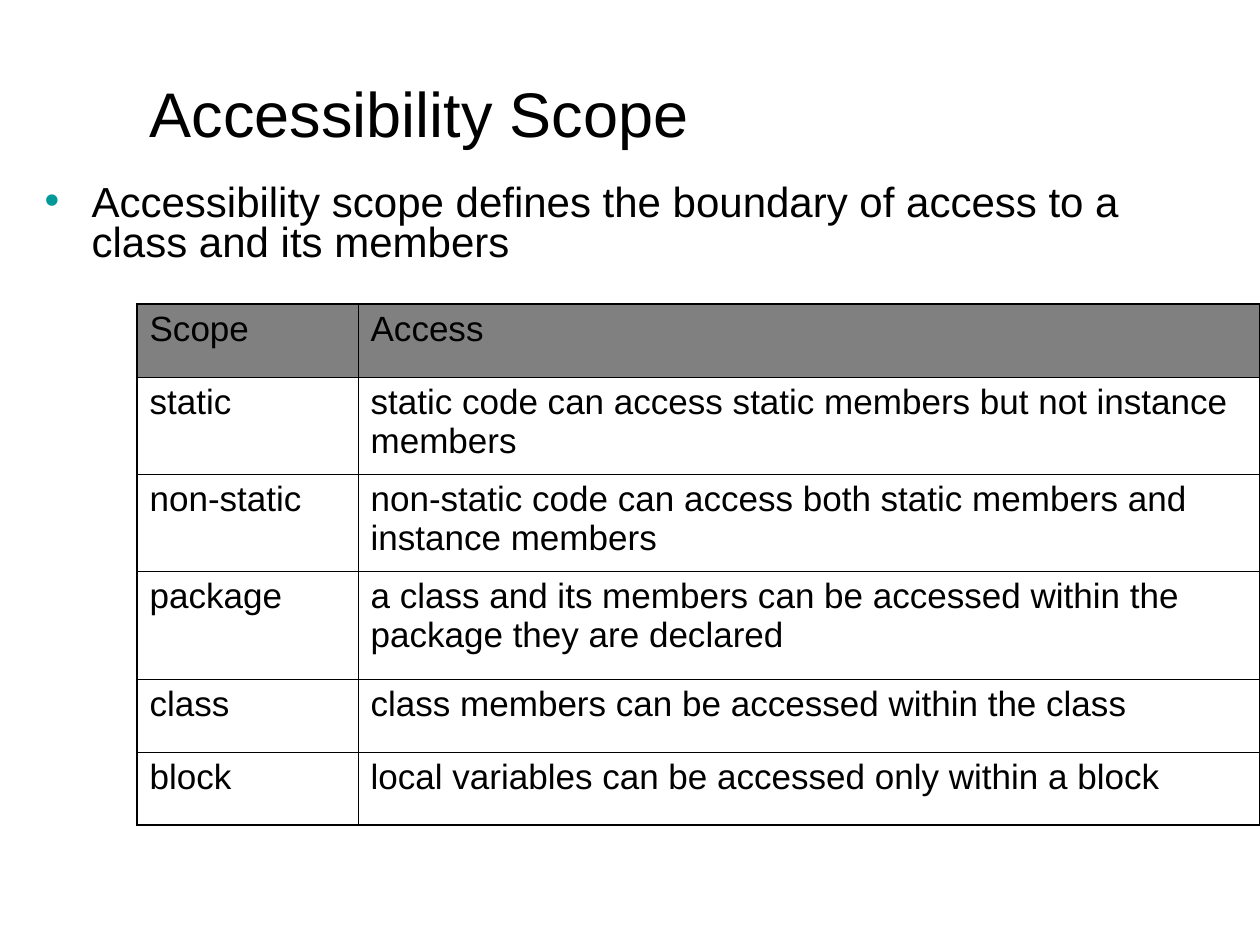
from lxml.etree import SubElement
from pptx import Presentation
from pptx.dml.color import RGBColor
from pptx.enum.text import MSO_ANCHOR, MSO_AUTO_SIZE, PP_ALIGN
from pptx.oxml.ns import qn
from pptx.util import Emu, Pt

BLACK = RGBColor(0x00, 0x00, 0x00)
GRAY = RGBColor(0x80, 0x80, 0x80)
TEAL = RGBColor(0x00, 0x99, 0x99)
OUTER, INNER = Pt(1.08), Pt(0.45)

COLUMN_WIDTHS = [221, 902]
ROW_HEIGHTS = [73, 97, 97, 108, 73, 73]
ROWS = [
    ("Scope", "Access"),
    ("static", "static code can access static members but not instance members"),
    ("non-static", "non-static code can access both static members and instance members"),
    ("package", "a class and its members can be accessed within the package they are declared"),
    ("class", "class members can be accessed within the class"),
    ("block", "local variables can be accessed only within a block"),
]


def px(length):
    return Emu(round(length * 914400 / 126))


def style_text(paragraph, size):
    paragraph.alignment = PP_ALIGN.LEFT
    paragraph.space_before = Pt(0)
    paragraph.font.size = Pt(size)
    paragraph.font.name = "Arial"
    paragraph.font.color.rgb = BLACK


presentation = Presentation()
presentation.slide_width = px(1260)
presentation.slide_height = px(945)
slide = presentation.slides.add_slide(presentation.slide_layouts[1])

title = slide.shapes.title
body = slide.placeholders[1]
for shape, (left, top, width, height), text, anchor, size in [
    (title, (137, 5, 1123, 151), "Accessibility Scope", MSO_ANCHOR.BOTTOM, 36),
    (body, (32, 179, 1165, 158),
     "Accessibility scope defines the boundary of access to a class and its members",
     MSO_ANCHOR.TOP, 24),
]:
    shape.left, shape.top = px(left), px(top)
    shape.width, shape.height = px(width), px(height)
    frame = shape.text_frame
    frame.text = text
    frame.word_wrap = True
    frame.auto_size = MSO_AUTO_SIZE.NONE
    frame.vertical_anchor = anchor
    style_text(frame.paragraphs[0], size)

paragraph = body.text_frame.paragraphs[0]
paragraph.line_spacing = 0.8
properties = paragraph._p.get_or_add_pPr()
properties.set("marL", str(px(47)))
properties.set("indent", str(px(-47)))
bullet_color = SubElement(properties, qn("a:buClr"))
SubElement(bullet_color, qn("a:srgbClr"), val=str(TEAL))
SubElement(properties, qn("a:buChar"), char="•")
properties.append(properties.find(qn("a:defRPr")))

table = slide.shapes.add_table(
    len(ROWS), len(COLUMN_WIDTHS), px(137), px(304),
    px(sum(COLUMN_WIDTHS)), px(sum(ROW_HEIGHTS)),
).table
for column, width in zip(table.columns, COLUMN_WIDTHS):
    column.width = px(width)
for row, height in zip(table.rows, ROW_HEIGHTS):
    row.height = px(height)

last_row, last_column = len(ROWS) - 1, len(COLUMN_WIDTHS) - 1
for row_index, texts in enumerate(ROWS):
    for column_index, text in enumerate(texts):
        cell = table.cell(row_index, column_index)
        cell.text = text
        style_text(cell.text_frame.paragraphs[0], 20)
        cell_properties = cell._tc.get_or_add_tcPr()
        for side, is_outer in [
            ("L", column_index == 0),
            ("R", column_index == last_column),
            ("T", row_index == 0),
            ("B", row_index == last_row),
        ]:
            border = SubElement(cell_properties, qn(f"a:ln{side}"),
                                w=str(OUTER if is_outer else INNER))
            border_fill = SubElement(border, qn("a:solidFill"))
            SubElement(border_fill, qn("a:srgbClr"), val=str(BLACK))
        if row_index == 0:
            cell.fill.solid()
            cell.fill.fore_color.rgb = GRAY
        else:
            cell.fill.background()

presentation.save("out.pptx")
